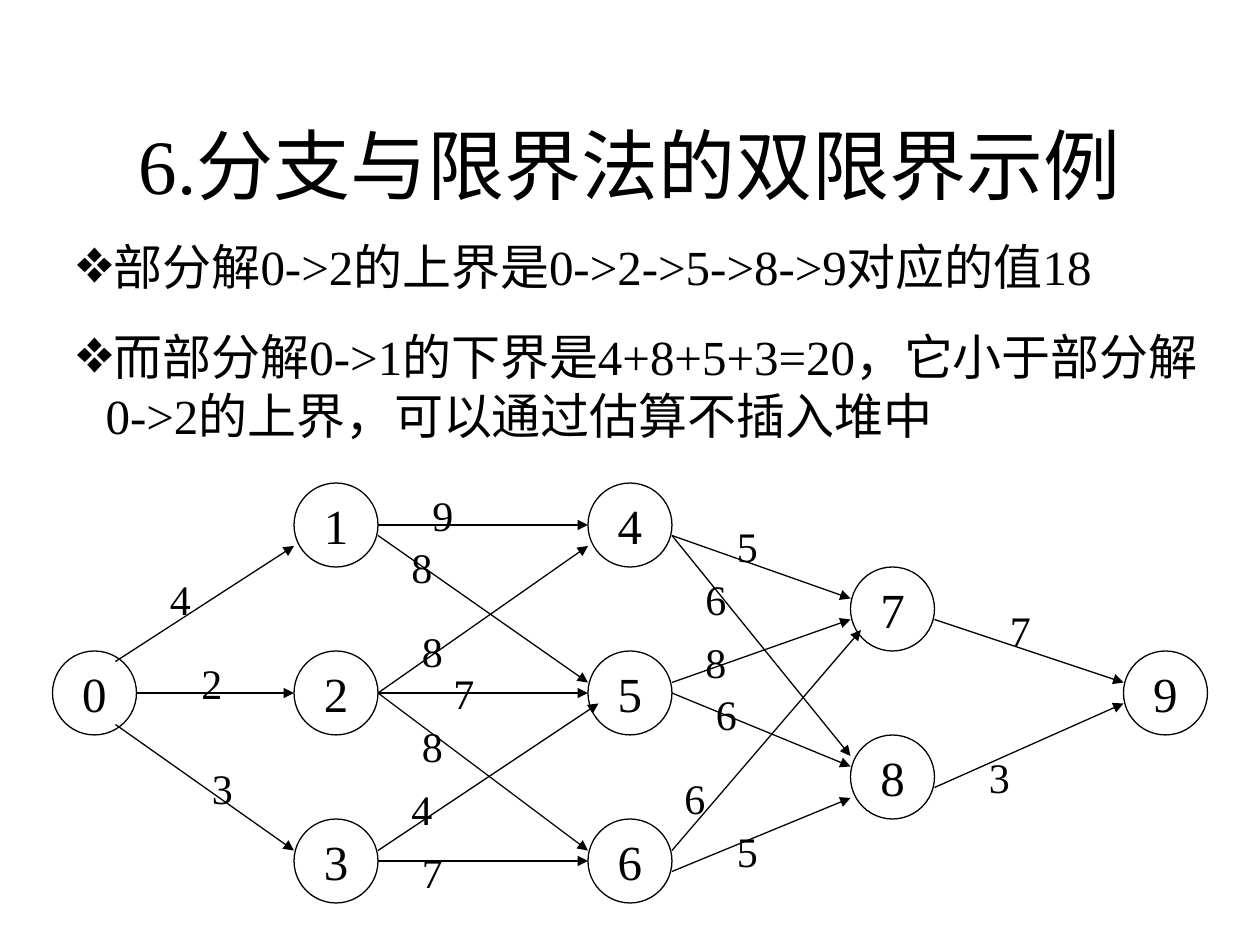
from pptx import Presentation
from pptx.util import Inches, Pt
from pptx.dml.color import RGBColor as RGB
from pptx.enum.shapes import MSO_SHAPE as Geo, MSO_CONNECTOR as Link
from pptx.enum.text import PP_ALIGN as Align, MSO_ANCHOR as Anchor
from pptx.oxml.ns import qn
from lxml import etree

FONT = "Times New Roman"
INK, PAPER = "000000", "FFFFFF"


def color(code):
    return RGB.from_string(code)


def unit(n):
    """The graph lies on a grid of twelfths of an inch."""
    return Inches(n / 12)


def write(frame, text, size=24, align=Align.LEFT, anchor=Anchor.TOP,
          wrap=True, before=0, bullet=None, hang=0.24):
    frame.word_wrap = wrap
    frame.vertical_anchor = anchor
    for i, line in enumerate(text.split("\n")):
        para = frame.paragraphs[0] if i == 0 else frame.add_paragraph()
        para.alignment = align
        para.space_before = Pt(before)
        run = para.add_run()
        run.text = line
        run.font.name = FONT
        run.font.size = Pt(size)
        run.font.color.rgb = color(INK)
        if bullet:
            props = para._p.get_or_add_pPr()
            props.set("marL", str(Inches(hang)))
            props.set("indent", str(-Inches(hang)))
            etree.SubElement(props, qn("a:buFont"), typeface=FONT)
            etree.SubElement(props, qn("a:buChar"), char=bullet)


class Board:
    def __init__(self, slide, width=0.75):
        self.shapes = slide.shapes
        self.width = Pt(width)

    def stroke(self, line):
        line.color.rgb = color(INK)
        line.width = self.width

    def text(self, x, y, w, h, text, **style):
        box = self.shapes.add_textbox(x, y, w, h)
        write(box.text_frame, text, **style)

    def node(self, x, y, name, size=8):
        disc = self.shapes.add_shape(
            Geo.OVAL, unit(x), unit(y), unit(size), unit(size))
        disc.shadow.inherit = False
        disc.fill.solid()
        disc.fill.fore_color.rgb = color(PAPER)
        self.stroke(disc.line)
        write(disc.text_frame, name, size=28, align=Align.CENTER,
              anchor=Anchor.MIDDLE, wrap=False)

    def arrow(self, *ends):
        line = self.shapes.add_connector(Link.STRAIGHT, *map(unit, ends))
        self.stroke(line.line)
        etree.SubElement(line.line._get_or_add_ln(), qn("a:tailEnd"),
                         type="triangle")
        etree.SubElement(line._element.spPr, qn("a:effectLst"))

    def label(self, x, y, cost):
        self.text(unit(x), unit(y), unit(5), unit(6), cost, before=15)


deck = Presentation()
deck.slide_width, deck.slide_height = Inches(10), Inches(7.5)
board = Board(deck.slides.add_slide(deck.slide_layouts[6]))

# Title
board.text(Inches(0.75), Inches(0.67), Inches(8.5), Inches(1.25),
           "6.分支与限界法的双限界示例", size=44,
           align=Align.CENTER, anchor=Anchor.MIDDLE)

# Nodes, column by column: left edge, then top edges
columns = [(5, [62]), (28, [46, 62, 78]), (56, [46, 62, 78]),
           (81, [54, 70]), (107, [62])]
spots = [(x, y) for x, tops in columns for y in tops]
for i, (x, y) in enumerate(spots):
    board.node(x, y, str(i))

# Edges: arrow ends, label corner, cost
edges = [
    ((11, 63, 28, 52), (15, 54), "4"),
    ((13, 66, 28, 66), (18, 62), "2"),
    ((11, 69, 28, 81), (19, 72), "3"),
    ((36, 50, 56, 50), (40, 46), "9"),
    ((36, 51, 56, 65), (38, 51), "8"),
    ((36, 66, 56, 52), (39, 59), "8"),
    ((36, 66, 56, 66), (42, 63), "7"),
    ((36, 66, 56, 81), (39, 68), "8"),
    ((36, 81, 57, 67), (38, 74), "4"),
    ((36, 82, 56, 82), (39, 80), "7"),
    ((64, 51, 81, 57), (69, 49), "5"),
    ((64, 51, 81, 72), (66, 54), "6"),
    ((64, 65, 81, 59), (66, 60), "8"),
    ((64, 66, 81, 73), (67, 65), "6"),
    ((64, 81, 82, 60), (64, 73), "6"),
    ((64, 83, 81, 76), (69, 78), "5"),
    ((89, 59, 107, 65), (95, 57), "7"),
    ((89, 75, 107, 67), (93, 71), "3"),
]
for ends, _, _ in edges:
    board.arrow(*ends)
for _, spot, cost in edges:
    board.label(*spot, cost)

# Explanation
board.text(Inches(0.5), Inches(1.83), Inches(9.17), Inches(1.75),
           "部分解0->2的上界是0->2->5->8->9对应的值18\n"
           "而部分解0->1的下界是4+8+5+3=20，它小于部分解0->2的上界，"
           "可以通过估算不插入堆中",
           size=28, before=17.5, bullet="❖")

deck.save("out.pptx")
